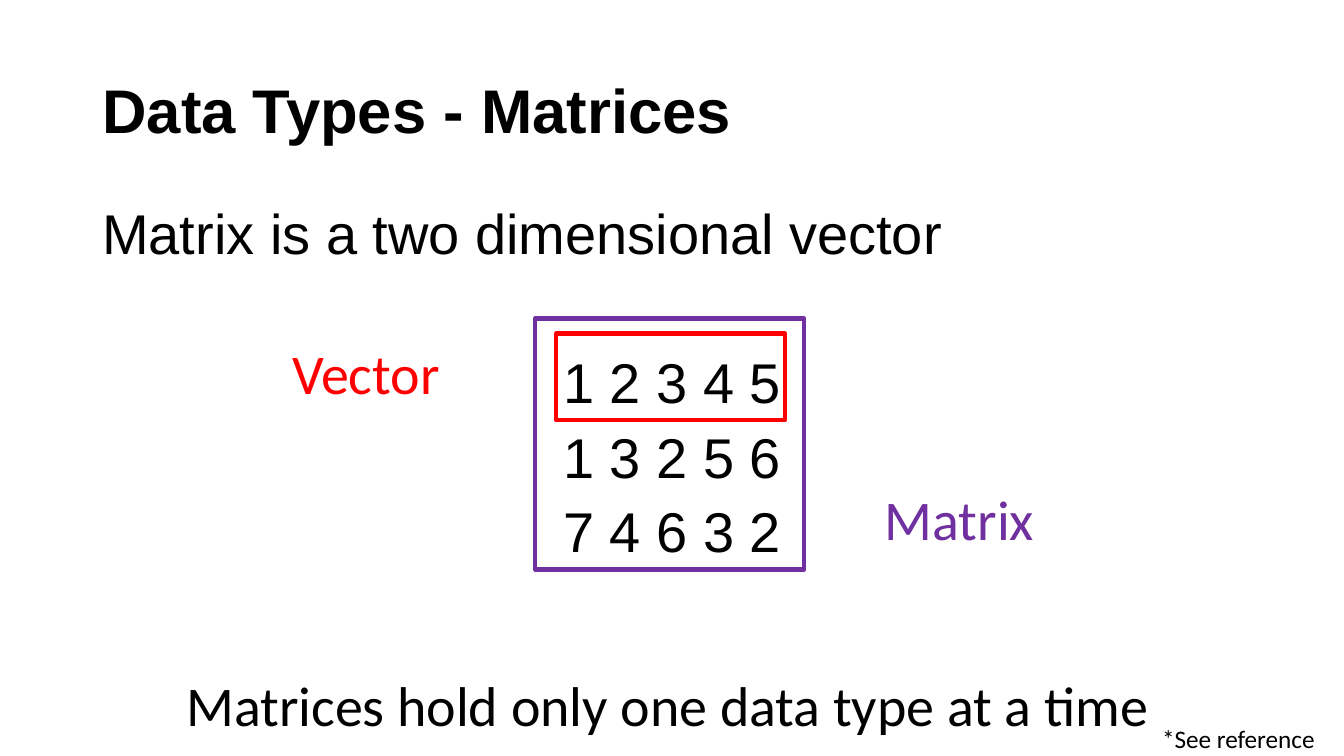
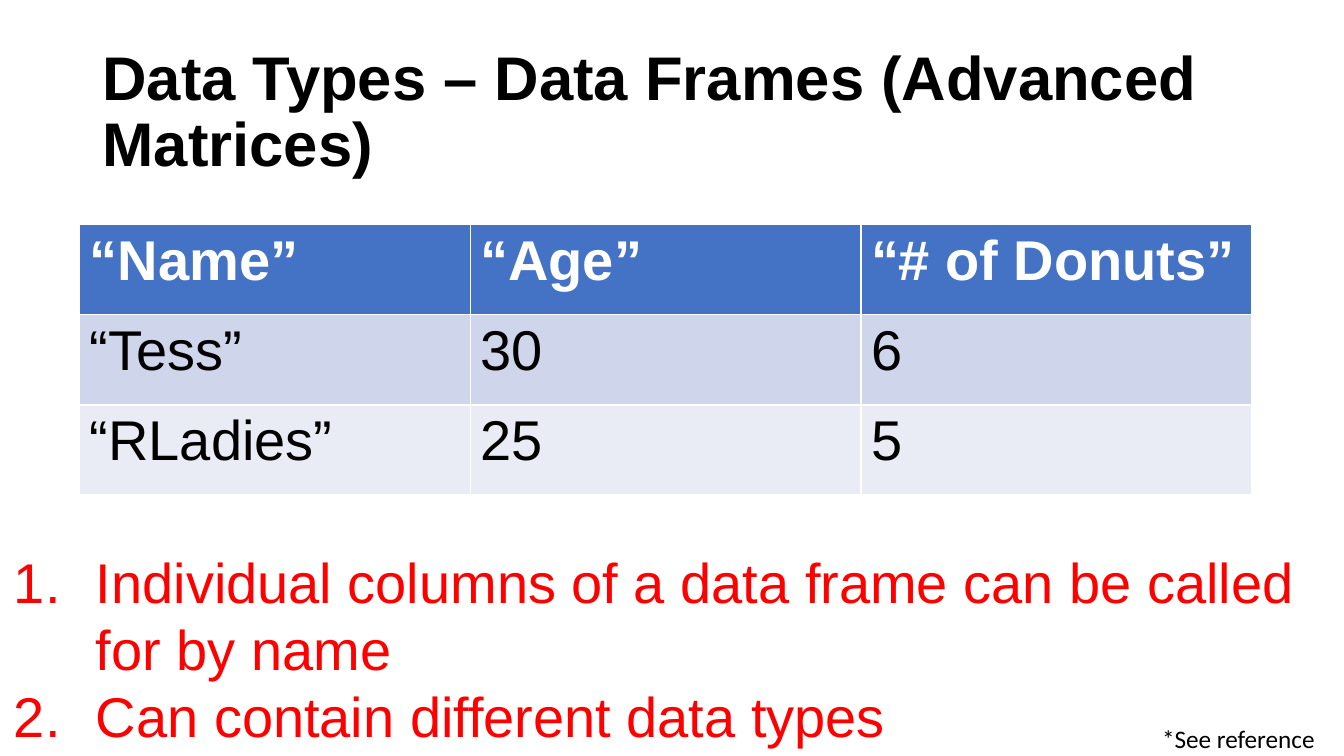
from dataclasses import dataclass

from lxml import etree
from pptx import Presentation
from pptx.dml.color import RGBColor
from pptx.enum.shapes import MSO_SHAPE
from pptx.enum.text import MSO_ANCHOR, MSO_AUTO_SIZE, PP_ALIGN
from pptx.oxml.ns import qn
from pptx.util import Pt

RECT = MSO_SHAPE.RECTANGLE
MIDDLE = MSO_ANCHOR.MIDDLE
FIT, FIXED = MSO_AUTO_SIZE.SHAPE_TO_FIT_TEXT, MSO_AUTO_SIZE.NONE
LEFT, CENTER = PP_ALIGN.LEFT, PP_ALIGN.CENTER
TITLE_ONLY = 5


@dataclass(frozen=True)
class Theme:
    black: str = "000000"
    white: str = "FFFFFF"
    red: str = "FF0000"
    purple: str = "7030A0"
    head: str = "4472C4"
    bands: tuple = ("CFD5EA", "E9EBF5")
    sans: str = "Arial"
    label: str = "Calibri"
    title: int = 44
    body: int = 40
    note: int = 18
    tight: float = 0.9


def color(code):
    return RGBColor.from_string(code)


class Deck:
    def __init__(self, theme):
        self.theme = theme
        self.file = Presentation()
        self.file.slide_width, self.file.slide_height = Pt(960), Pt(540)
        self.slide = None

    def style(self, para, size, tint, face, bold=False):
        font = para.font
        font.size, font.name, font.bold = Pt(size), face, bold
        font.color.rgb = color(tint)

    def start(self, text, width=828):
        """Add a slide with its title and the shared reference note."""
        t = self.theme
        self.slide = self.file.slides.add_slide(self.file.slide_layouts[TITLE_ONLY])
        title = self.slide.shapes.title
        title.left, title.top = Pt(66), Pt(28.75)
        title.width, title.height = Pt(width), Pt(104.4)
        frame = title.text_frame
        frame.text = text
        frame.auto_size, frame.vertical_anchor = FIXED, MIDDLE
        para = frame.paragraphs[0]
        para.alignment, para.line_spacing = LEFT, t.tight
        self.style(para, t.title, t.black, t.sans, True)
        self.tag("*See reference", 823, 513.4, 125.3, 29.1, t.black, t.note)

    def box(self, text, x, y, w, h, wrap=True):
        shape = self.slide.shapes.add_textbox(Pt(x), Pt(y), Pt(w), Pt(h))
        frame = shape.text_frame
        frame.text = text
        frame.word_wrap = wrap
        return frame

    def tag(self, text, x, y, w, h, tint, size=None):
        """Add a one-line label."""
        t = self.theme
        frame = self.box(text, x, y, w, h, wrap=False)
        frame.auto_size = FIT
        self.style(frame.paragraphs[0], size or t.body, tint, t.label)

    def matrix(self, lead, rows, x, y, w, h):
        """Add a lead line with centred rows of numbers below it."""
        t = self.theme
        frame = self.box("\n".join([lead, *rows]), x, y, w, h)
        for i, para in enumerate(frame.paragraphs):
            para.line_spacing = t.tight
            if i:
                para.alignment = CENTER
                para.space_before = Pt(63 if i == 1 else 10)
            self.style(para, t.body, t.black, t.sans)

    def frame(self, x, y, w, h, tint):
        """Add an unfilled outline."""
        shape = self.slide.shapes.add_shape(RECT, Pt(x), Pt(y), Pt(w), Pt(h))
        shape.shadow.inherit = False
        shape.fill.background()
        shape.line.color.rgb = color(tint)
        shape.line.width = Pt(3)

    def table(self, rows, x, y, w, h):
        t = self.theme
        grid = self.slide.shapes.add_table(
            len(rows), len(rows[0]), Pt(x), Pt(y), Pt(w), Pt(h)).table
        for r, row in enumerate(rows):
            top = r == 0
            fill = t.head if top else t.bands[(r - 1) % 2]
            for c, text in enumerate(row):
                cell = grid.cell(r, c)
                cell.text = text
                cell.fill.solid()
                cell.fill.fore_color.rgb = color(fill)
                self.style(cell.text_frame.paragraphs[0], t.body,
                           t.white if top else t.black, t.sans, top)

    def steps(self, items, x, y, w, h, tint):
        """Add a numbered list."""
        t = self.theme
        frame = self.box("\n".join(items), x, y, w, h)
        frame.auto_size = FIT
        indent = Pt(58.5)
        for para in frame.paragraphs:
            props = para._p.get_or_add_pPr()
            props.set("marL", str(indent))
            props.set("indent", str(-indent))
            etree.SubElement(props, qn("a:buAutoNum"), type="arabicPeriod")
            self.style(para, t.body, tint, t.sans)


def main():
    theme = Theme()
    deck = Deck(theme)

    deck.start("Data Types - Matrices")
    deck.matrix("Matrix is a two dimensional vector",
                ["1 2 3 4 5", "1 3 2 5 6", "7 4 6 3 2"], 66, 144, 828, 342.7)
    deck.frame(397.4, 238.3, 163.4, 61.9, theme.red)
    deck.frame(382.3, 227.5, 192.2, 179.3, theme.purple)
    deck.tag("Vector", 201.6, 238.3, 130.3, 55.4, theme.red)
    deck.tag("Matrix", 625, 342.7, 122.4, 55.4, theme.purple)
    deck.tag("Matrices hold only one data type at a time",
             126, 475.2, 708.5, 55.4, theme.black)

    deck.start("Data Types – Data Frames (Advanced Matrices)", 861)
    deck.table([["“Name”", "“Age”", "“# of Donuts”"],
                ["“Tess”", "30", "6"],
                ["“RLadies”", "25", "5"]], 57, 160.6, 837, 193)
    deck.steps(["Individual columns of a data frame can be called for by name",
                "Can contain different data types"],
               2.9, 387.4, 944.6, 152.6, theme.red)

    deck.file.save("out.pptx")


if __name__ == "__main__":
    main()
